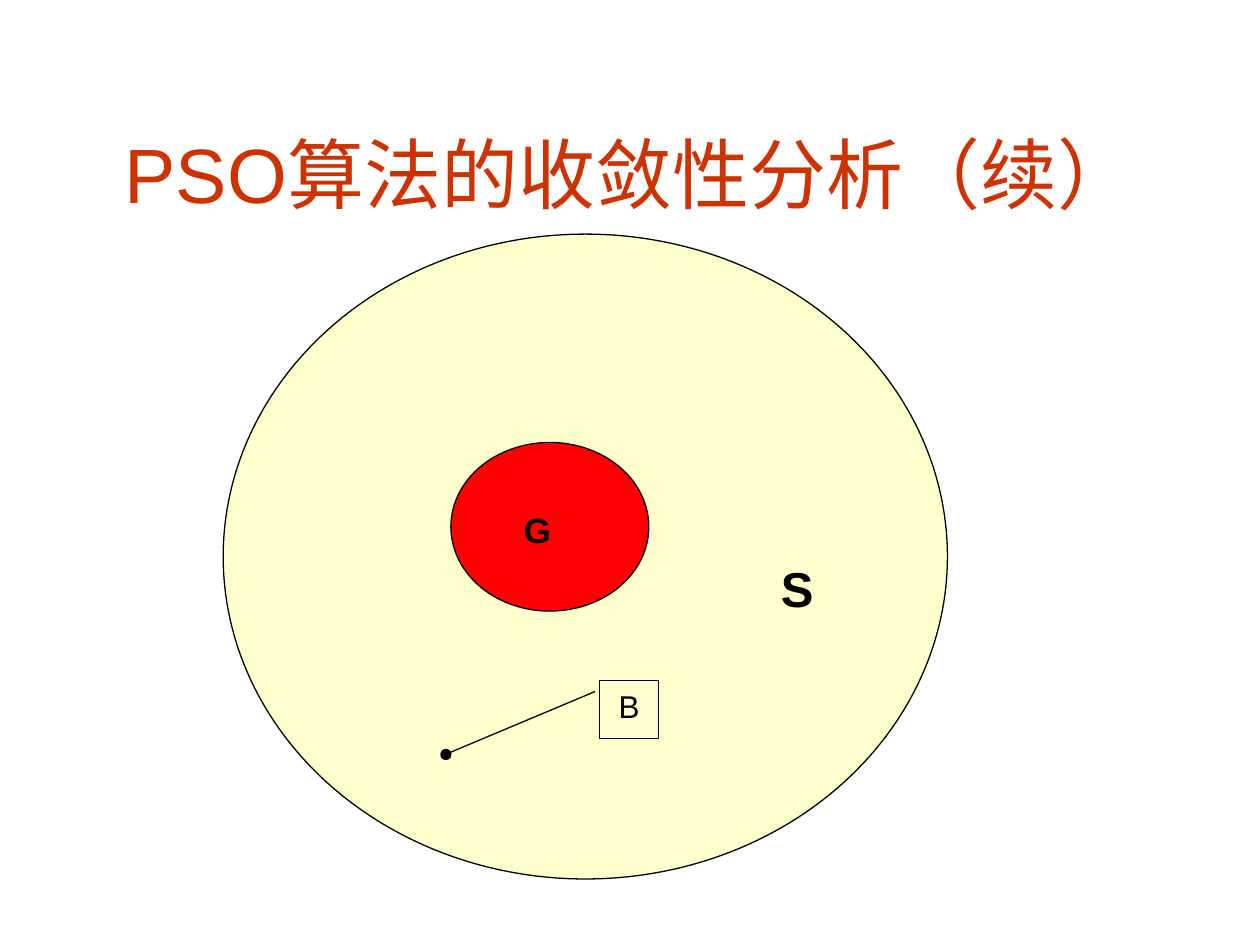
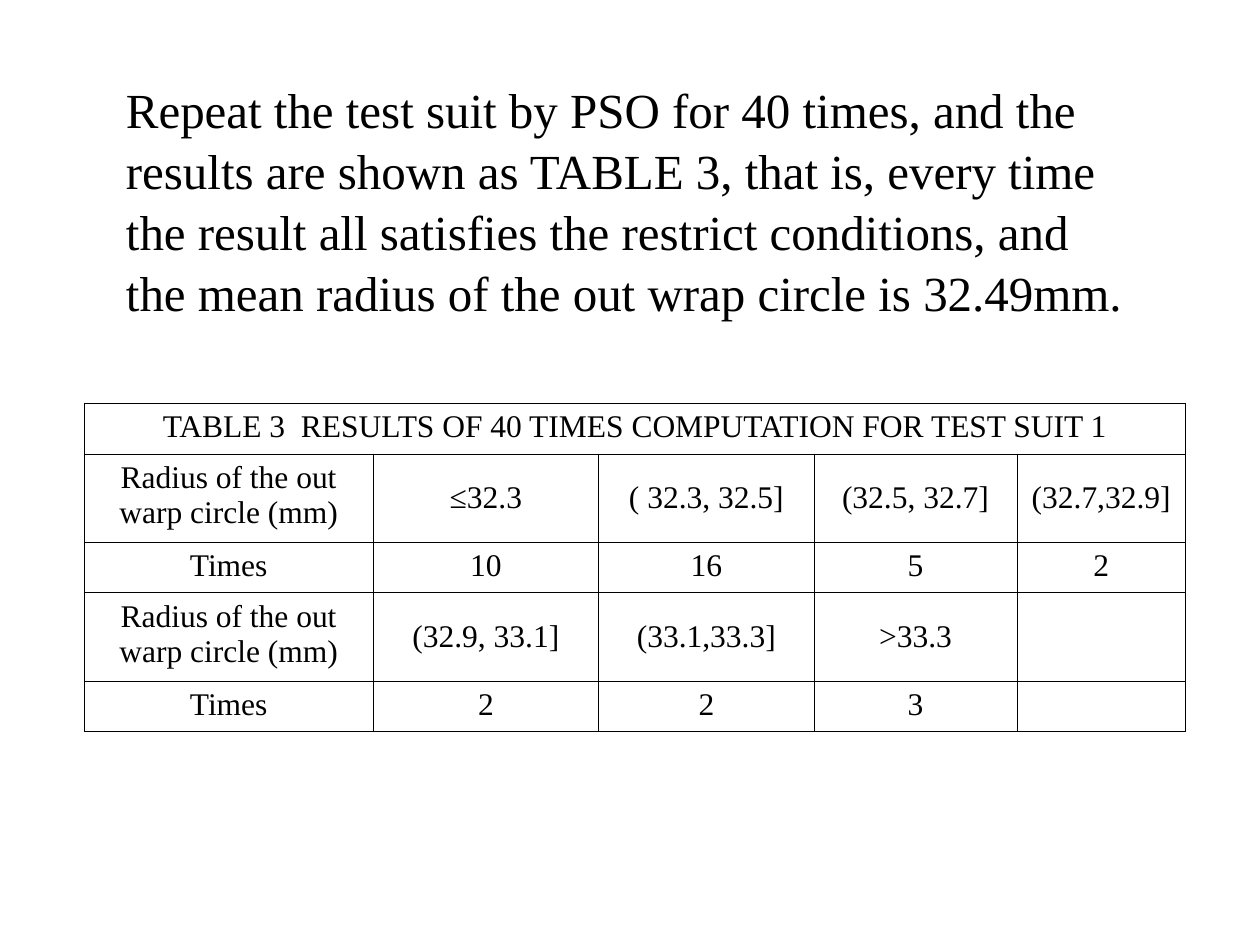
from lxml import etree
from pptx import Presentation
from pptx.dml.color import RGBColor
from pptx.enum.shapes import MSO_SHAPE
from pptx.enum.text import MSO_ANCHOR, PP_ALIGN
from pptx.oxml.ns import qn
from pptx.util import Cm, Pt

OVAL, CALLOUT = MSO_SHAPE.OVAL, MSO_SHAPE.LINE_CALLOUT_1
TOP, MIDDLE = MSO_ANCHOR.TOP, MSO_ANCHOR.MIDDLE
LEFT, CENTER = PP_ALIGN.LEFT, PP_ALIGN.CENTER
TITLE_ONLY, BLANK = 5, 6

BLACK, CREAM, RED, TITLE_RED = "000000", "FFFFCC", "FF0000", "CC3300"
SANS, SERIF = "Arial", "Times New Roman"

TITLE_FORMAT = {"name": SANS, "size": Pt(44), "bold": False}
SET_FORMAT = {"name": SANS, "size": Pt(28), "bold": True}
REGION_FORMAT = {"name": SANS, "size": Pt(20), "bold": True}
POINT_FORMAT = {"name": SANS, "size": Pt(18), "bold": False}
BODY_FORMAT = {"name": SERIF, "size": Pt(28), "bold": False}
CELL_FORMAT = {"name": SERIF, "size": Pt(18), "bold": False}

BODY = ("Repeat the test suit by PSO for 40 times, and the results are shown as "
        "TABLE 3, that is, every time the result all satisfies the restrict "
        "conditions, and the mean radius of the out wrap circle is 32.49mm.")
CAPTION = "TABLE 3  RESULTS OF 40 TIMES COMPUTATION FOR TEST SUIT 1"
RADIUS = "Radius of the out\nwarp circle (mm)"
RESULTS = [
    [CAPTION, "", "", "", ""],
    [RADIUS, "≤32.3", "( 32.3, 32.5]", "(32.5, 32.7]", "(32.7,32.9]"],
    ["Times", "10", "16", "5", "2"],
    [RADIUS, "(32.9, 33.1]", "(33.1,33.3]", ">33.3", ""],
    ["Times", "2", "2", "3", ""],
]
COL_WIDTHS = [5.82, 4.55, 4.34, 4.09, 3.4]
CAPTION_HEIGHT, RADIUS_HEIGHT = 1.02, 1.78


def rgb(value):
    return RGBColor.from_string(value)


def write(tf, text, formats, align=LEFT, anchor=TOP, color=BLACK):
    """Fill a text frame, one paragraph for each line of text."""
    tf.word_wrap = True
    tf.vertical_anchor = anchor
    write_lines(tf, text, formats, align, color)


def write_lines(tf, text, formats, align, color=BLACK):
    for i, line in enumerate(text.split("\n")):
        p = tf.add_paragraph() if i else tf.paragraphs[0]
        p.alignment = align
        if line:
            r = p.add_run()
            r.text = line
            r.font.color.rgb = rgb(color)
            for key, value in formats.items():
                setattr(r.font, key, value)


def add_outlined(s, kind, box, fill):
    sp = s.shapes.add_shape(kind, *map(Cm, box))
    sp.shadow.inherit = False
    sp.fill.solid()
    sp.fill.fore_color.rgb = rgb(fill)
    sp.line.color.rgb = rgb(BLACK)
    sp.line.width = Pt(0.75)
    return sp


def add_text(s, box, text, formats, **layout):
    tf = s.shapes.add_textbox(*map(Cm, box)).text_frame
    write(tf, text, formats, **layout)
    return tf


def add_title(s, box, text):
    sp = s.shapes.title
    sp.left, sp.top, sp.width, sp.height = map(Cm, box)
    write(sp.text_frame, text, TITLE_FORMAT, CENTER, MIDDLE, TITLE_RED)


def add_set_diagram(s, box):
    """Search space S with region G and the marked point B."""
    left, top = box[:2]

    def within(x, y, w, h):
        return left + x, top + y, w, h

    add_outlined(s, OVAL, box, CREAM)
    add_outlined(s, OVAL, within(4.59, 4.2, 3.99, 3.4), RED)
    add_text(s, within(10.99, 6.41, 1.8, 1.45), "S", SET_FORMAT)
    add_text(s, within(5.81, 5.41, 1.4, 1.12), "G", REGION_FORMAT)

    # Point and its callout
    add_outlined(s, OVAL, within(4.39, 10.39, 0.2, 0.2), BLACK)
    callout = add_outlined(s, CALLOUT, within(7.59, 9, 1.19, 1.17), CREAM)
    for i, value in enumerate([0.19, -0.08, 1.25, -2.56]):
        callout.adjustments[i] = value
    write(callout.text_frame, "B", POINT_FORMAT, CENTER)


def set_borders(cell):
    tc_pr = cell._tc.get_or_add_tcPr()
    for side in ("a:lnL", "a:lnR", "a:lnT", "a:lnB"):
        ln = etree.SubElement(tc_pr, qn(side), w=str(Pt(0.45)))
        fill = etree.SubElement(ln, qn("a:solidFill"))
        etree.SubElement(fill, qn("a:srgbClr"), val=BLACK)


def add_results_table(s, left, top):
    heights = [RADIUS_HEIGHT if row[0] == RADIUS else CAPTION_HEIGHT
               for row in RESULTS]
    size = sum(COL_WIDTHS), sum(heights)
    table = s.shapes.add_table(len(heights), len(COL_WIDTHS),
                               *map(Cm, (left, top, *size))).table
    table.first_row = table.horz_banding = False
    for col, width in zip(table.columns, COL_WIDTHS):
        col.width = Cm(width)
    for row, height in zip(table.rows, heights):
        row.height = Cm(height)
    table.cell(0, 0).merge(table.cell(0, len(COL_WIDTHS) - 1))

    for i, texts in enumerate(RESULTS):
        for j, text in enumerate(texts):
            cell = table.cell(i, j)
            set_borders(cell)
            cell.fill.background()
            is_range = texts[0] == RADIUS and j > 0
            cell.vertical_anchor = MIDDLE if is_range else TOP
            write_lines(cell.text_frame, text, CELL_FORMAT, CENTER)


def build_convergence_slide(prs):
    s = prs.slides.add_slide(prs.slide_layouts[TITLE_ONLY])
    add_title(s, (0.84, 1.9, 23.72, 3.18), "PSO算法的收敛性分析（续）")
    add_set_diagram(s, (4.5, 4.72, 14.6, 13))


def build_results_slide(prs):
    s = prs.slides.add_slide(prs.slide_layouts[BLANK])
    tf = add_text(s, (2.29, 1.52, 20.6, 5), BODY, BODY_FORMAT, anchor=MIDDLE)
    tf.paragraphs[0].line_spacing = 1.04
    add_results_table(s, 1.7, 8.13)


def main():
    prs = Presentation()
    prs.slide_width, prs.slide_height = Cm(25.4), Cm(19.05)
    build_convergence_slide(prs)
    build_results_slide(prs)
    prs.save("out.pptx")


if __name__ == "__main__":
    main()
